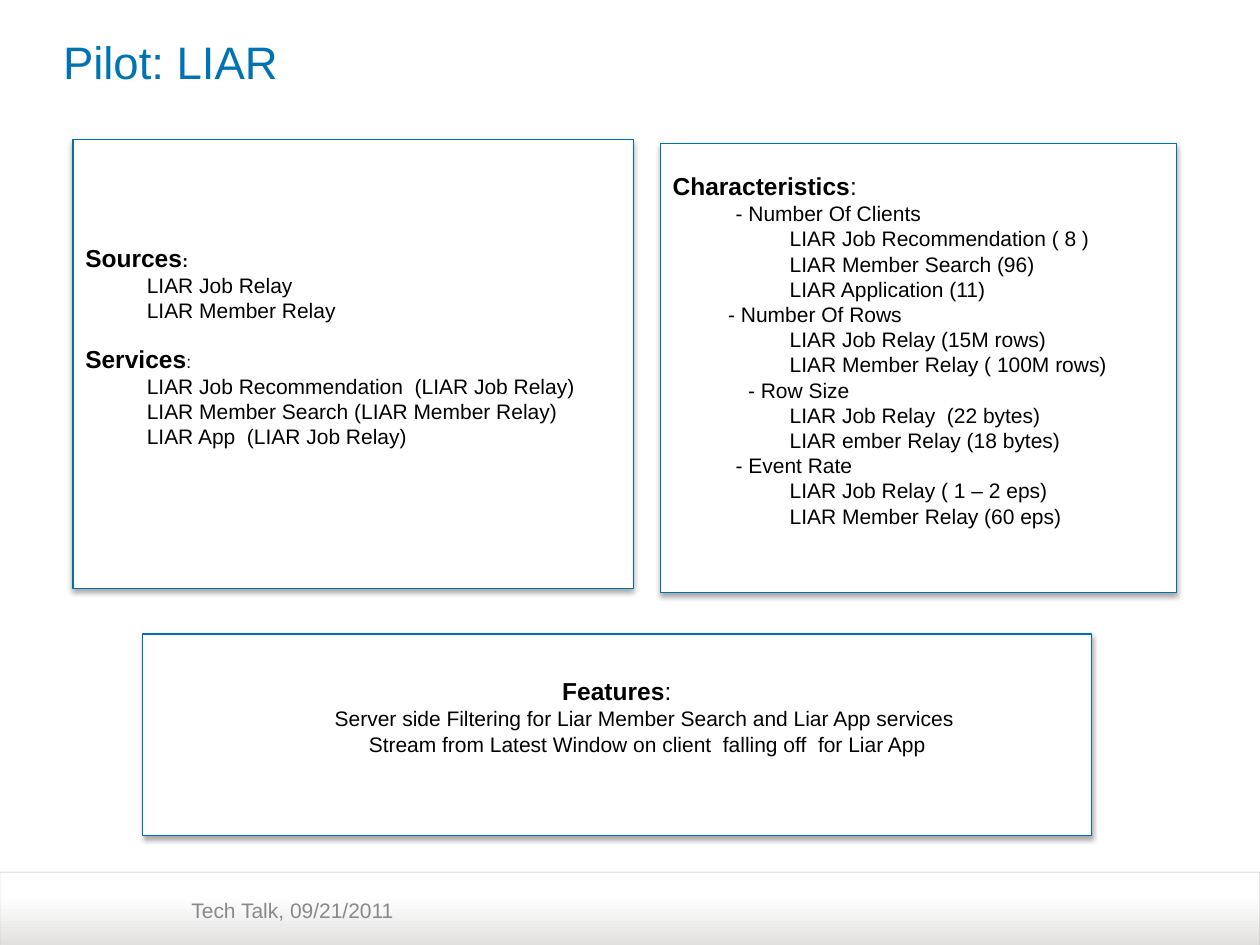
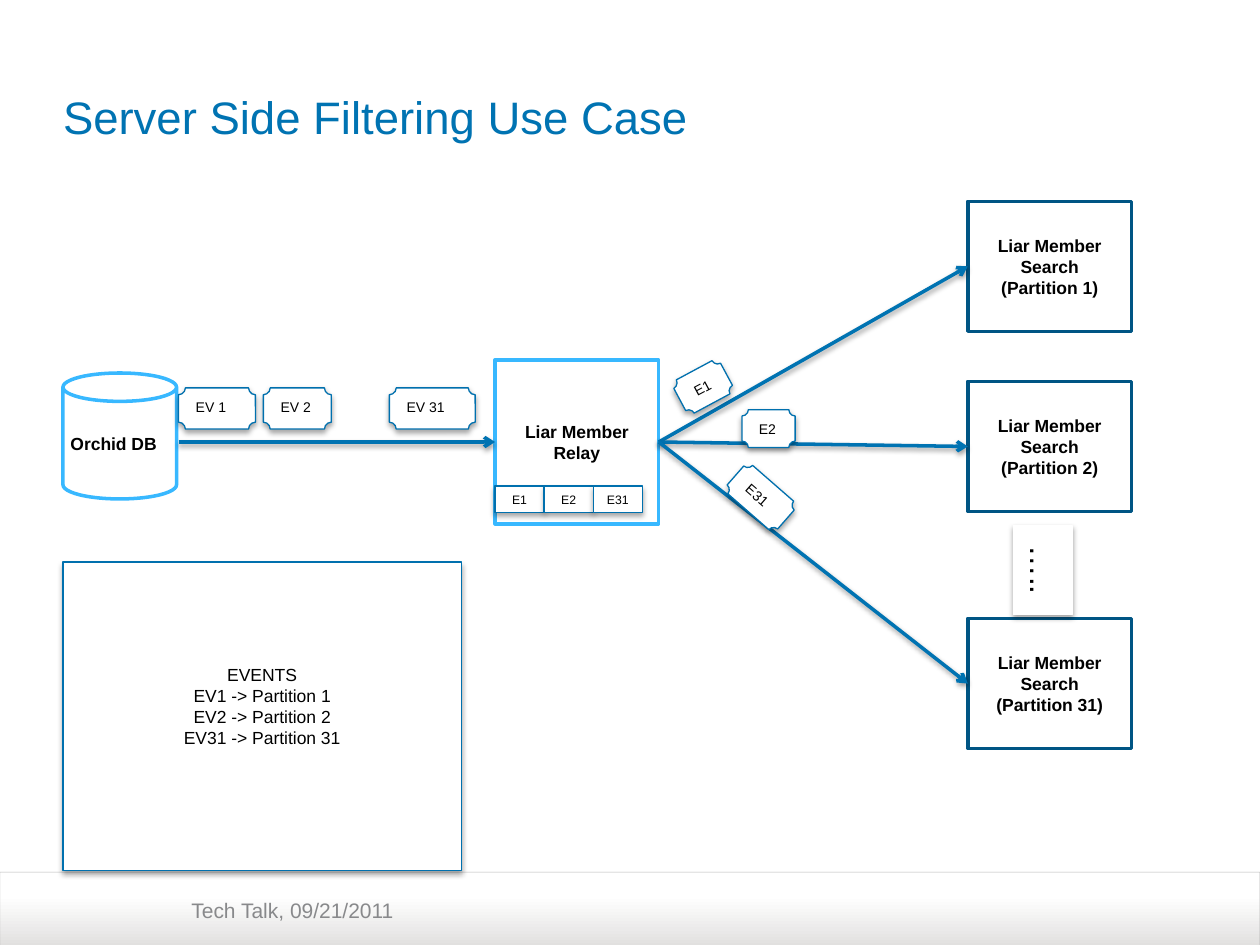
from dataclasses import dataclass
from lxml.etree import SubElement
from pptx import Presentation
from pptx.dml.color import RGBColor
from pptx.enum.shapes import MSO_CONNECTOR, MSO_SHAPE
from pptx.enum.text import MSO_ANCHOR, MSO_AUTO_SIZE, PP_ALIGN
from pptx.oxml.ns import qn
from pptx.util import Cm, Pt


@dataclass(frozen=True)
class Theme:
    font: str = "Arial"
    title: str = "0073B2"
    border: str = "0070AE"
    source: str = "38B8FF"
    target: str = "005584"
    text: str = "000000"
    muted: str = "88898B"
    paper: str = "FFFFFF"
    band: str = "E1E0DF"
    band_line: str = "A6A6A6"
    title_size: int = 26
    dots_size: int = 18
    heading_size: int = 14
    body_size: int = 12
    label_size: int = 10
    event_size: int = 8
    cell_size: int = 7
    thin: float = 0.75
    thick: float = 2


@dataclass(frozen=True)
class Box:
    left: float
    top: float
    width: float
    height: float

    def inside(self, left, top, width, height):
        return Box(self.left + left, self.top + top, width, height)

    def lengths(self):
        return [Cm(value) for value in (self.left, self.top, self.width, self.height)]


@dataclass(frozen=True)
class Line:
    runs: tuple
    indent: float = 0
    before: float = 0


THEME = Theme()
PAGE = Box(0, 0, 25.4, 19.05)
NEAR, FAR = 1.24, 2.36
TRAILING = 0.86


def rgb(value):
    return RGBColor.from_string(value)


def apply(target, formats):
    for name, value in formats.items():
        setattr(target, name, value)


def plain(text, size, bold=False):
    return Line(((text, size, bold),))


def heading(text, colon_size=THEME.heading_size, colon_bold=False, before=0):
    return Line(((text, THEME.heading_size, True), (":", colon_size, colon_bold)), 0, before)


def entries(texts, indent):
    return [Line(((text, THEME.body_size, False),), indent) for text in texts]


def write(shape, lines, color=THEME.text, align=PP_ALIGN.CENTER, **frame_formats):
    frame = shape.text_frame
    apply(frame, {"word_wrap": True, "auto_size": MSO_AUTO_SIZE.NONE,
                  "vertical_anchor": MSO_ANCHOR.MIDDLE, **frame_formats})
    for index, line in enumerate(lines):
        paragraph = frame.add_paragraph() if index else frame.paragraphs[0]
        apply(paragraph, {"alignment": align, "space_before": Pt(line.before)})
        if line.indent:
            paragraph._p.get_or_add_pPr().set("marL", str(Cm(line.indent)))
        for text, size, bold in line.runs:
            run = paragraph.add_run()
            run.text = text
            apply(run.font, {"name": THEME.font, "size": Pt(size), "bold": bold})
            run.font.color.rgb = rgb(color)


def add_effects(shape, opacity=0, distance=0):
    effects = SubElement(shape.element.spPr, qn("a:effectLst"))
    if opacity:
        shadow = SubElement(effects, qn("a:outerShdw"), blurRad=str(Pt(3.1)), dist=str(Pt(distance)),
                            dir="5400000", rotWithShape="0")
        color = SubElement(shadow, qn("a:srgbClr"), val=THEME.text)
        SubElement(color, qn("a:alpha"), val=str(opacity * 1000))


def add_panel(slide, box, kind=MSO_SHAPE.RECTANGLE, line=THEME.border, width=THEME.thin,
              shadow=True, rotation=0):
    shape = slide.shapes.add_shape(kind, *box.lengths())
    shape.rotation = rotation
    shape.fill.solid()
    shape.fill.fore_color.rgb = rgb(THEME.paper)
    shape.line.color.rgb = rgb(line)
    shape.line.width = Pt(width)
    add_effects(shape, 35 if shadow else 0, 1.8)
    return shape


def add_event(slide, box, text, rotation=0):
    plaque = add_panel(slide, box, MSO_SHAPE.PLAQUE, rotation=rotation)
    write(plaque, [plain(text, THEME.event_size)], align=PP_ALIGN.LEFT,
          vertical_anchor=MSO_ANCHOR.TOP)


def add_arrow(slide, start, end, start_shape, end_shape):
    arrow = slide.shapes.add_connector(MSO_CONNECTOR.STRAIGHT, *[Cm(value) for value in start + end])
    if start_shape:
        arrow.begin_connect(start_shape, 3)
    arrow.end_connect(end_shape, 1)
    arrow.line.color.rgb = rgb(THEME.title)
    arrow.line.width = Pt(THEME.thick)
    SubElement(arrow.element.spPr.find(qn("a:ln")), qn("a:tailEnd"), type="arrow")
    add_effects(arrow, 38, 1.6)


def set_title(slide, box, text, anchor):
    title = slide.shapes.title
    apply(title, dict(zip(("left", "top", "width", "height"), box.lengths())))
    write(title, [plain(text, THEME.title_size)], THEME.title, PP_ALIGN.LEFT,
          vertical_anchor=anchor, margin_left=0, margin_right=0)


def move_footer_to_master(slide, master, box):
    band = slide.shapes.add_shape(MSO_SHAPE.ROUND_2_SAME_RECTANGLE, *box.lengths())
    band.adjustments[0] = 0
    band.fill.gradient()
    band.fill.gradient_angle = 90
    for stop, color, position in zip(band.fill.gradient_stops, (THEME.band, THEME.paper), (0, 0.68)):
        stop.color.rgb = rgb(color)
        stop.position = position
    band.line.color.rgb = rgb(THEME.band_line)
    band.line.width = Pt(0.25)
    line_color = band.element.spPr.find(qn("a:ln")).find(".//" + qn("a:srgbClr"))
    SubElement(line_color, qn("a:alpha"), val="79000")
    add_effects(band)
    caption = slide.shapes.add_textbox(*box.inside(3.86, 0.38, 7.87, 0.86).lengths())
    write(caption, [plain("Tech Talk, 09/21/2011", THEME.body_size)], THEME.muted, PP_ALIGN.LEFT,
          vertical_anchor=MSO_ANCHOR.TOP, margin_left=0)
    for number, shape in enumerate((band, caption), 20):
        shape.element.nvSpPr.cNvPr.set("id", str(number))
        master.shapes.element.append(shape.element)


def add_sources(slide, box):
    lines = [heading("Sources", THEME.label_size, True),
             *entries(("LIAR Job Relay", "LIAR Member Relay"), NEAR),
             heading("Services", THEME.label_size, before=12),
             *entries(("LIAR Job Recommendation  (LIAR Job Relay)",
                       "LIAR Member Search (LIAR Member Relay)",
                       "LIAR App  (LIAR Job Relay)"), NEAR)]
    write(add_panel(slide, box), lines, align=PP_ALIGN.LEFT, margin_bottom=Cm(TRAILING))


def add_characteristics(slide, box):
    groups = (
        ("- Number Of Clients", 1.27, ("LIAR Job Recommendation ( 8 )", "LIAR Member Search (96)",
                                       "LIAR Application (11)")),
        ("- Number Of Rows", 1.12, ("LIAR Job Relay (15M rows)", "LIAR Member Relay ( 100M rows)")),
        ("- Row Size", 1.52, ("LIAR Job Relay  (22 bytes)", "LIAR ember Relay (18 bytes)")),
        ("- Event Rate", 1.27, ("LIAR Job Relay ( 1 – 2 eps)", "LIAR Member Relay (60 eps)")),
    )
    lines = [heading("Characteristics")]
    for name, indent, details in groups:
        lines += entries((name,), indent) + entries(details, FAR)
    write(add_panel(slide, box), lines, align=PP_ALIGN.LEFT, margin_bottom=Cm(TRAILING))


def add_features(slide, box):
    lines = [heading("Features"),
             *entries(("Server side Filtering for Liar Member Search and Liar App services",), 1.12),
             *entries(("Stream from Latest Window on client  falling off  for Liar App",), NEAR)]
    write(add_panel(slide, box), lines, margin_bottom=Cm(TRAILING))


def build_pilot(slide, box):
    set_title(slide, box.inside(1.27, 0.56, 22.86, 1.78), "Pilot: LIAR", MSO_ANCHOR.TOP)
    add_sources(slide, box.inside(1.47, 2.82, 11.3, 9.04))
    add_characteristics(slide, box.inside(13.31, 2.9, 10.41, 9.04))
    add_features(slide, box.inside(2.87, 12.78, 19.13, 4.06))


def add_event_legend(slide, box):
    texts = ("EVENTS", "EV1 -> Partition 1", "EV2 -> Partition 2", "EV31 -> Partition 31")
    write(add_panel(slide, box), [plain(text, THEME.label_size) for text in texts],
          margin_bottom=Cm(0.53))


def add_database(slide, box):
    can = add_panel(slide, box, MSO_SHAPE.CAN, THEME.source, THEME.thick, False)
    write(can, [plain("Orchid DB", THEME.label_size, True)], margin_left=0)


def add_event_queue(slide, box):
    for text, offset, width in (("EV 1", 0, 1.55), ("EV 2", 1.71, 1.37), ("EV 31", 4.25, 1.73)):
        add_event(slide, box.inside(offset, 0, width, box.height), text)


def add_relay(slide, box):
    relay = add_panel(slide, box, line=THEME.source, width=THEME.thick, shadow=False)
    write(relay, [plain("Liar Member Relay", THEME.label_size, True)])
    cell_width = 0.99
    for column, text in enumerate(("E1", "E2", "E31")):
        cell = add_panel(slide, box.inside(column * cell_width, 2.54, cell_width, 0.53))
        write(cell, [plain(text, THEME.cell_size)])
    return relay


def add_partitions(slide, box):
    partitions = []
    for number, offset in ((1, 0), (2, 3.63), (31, 8.41)):
        partition = add_panel(slide, box.inside(0, offset, box.width, 2.62),
                              line=THEME.target, width=THEME.thick, shadow=False)
        write(partition, [plain(text, THEME.label_size, True)
                          for text in ("Liar Member Search", f"(Partition {number})")])
        partitions.append(partition)
    dots = add_panel(slide, box.inside(0.61, 6.84, 1.8, 1.19), line=THEME.paper, rotation=90)
    write(dots, [plain("…..", THEME.dots_size)])
    return partitions


def add_routed_events(slide, box):
    for text, left, top, width, rotation in (("E1", 0, 0, 1.07, 331.7), ("E2", 1.32, 0.84, 1.07, 0),
                                             ("E31", 1.02, 2.23, 1.35, 41.1)):
        add_event(slide, box.inside(left, top, width, 0.76), text, rotation)


def build_filtering(slide, box):
    set_title(slide, box.inside(1.27, 0.76, 22.86, 3.18), "Server Side Filtering Use Case",
              MSO_ANCHOR.MIDDLE)
    add_event_legend(slide, box.inside(1.27, 11.33, 8.03, 6.22))
    add_database(slide, box.inside(1.27, 7.52, 2.29, 2.54))
    add_event_queue(slide, box.inside(3.6, 7.82, 5.98, 0.83))
    relay = add_relay(slide, box.inside(9.98, 7.26, 3.3, 3.3))
    add_arrow(slide, (3.6, 8.91), (9.98, 8.91), None, relay)
    for partition in add_partitions(slide, box.inside(19.51, 4.06, 3.3, 11.03)):
        add_arrow(slide, (13.28, 8.91), (19.51, 8.91), relay, partition)
    add_routed_events(slide, box.inside(13.64, 7.42, 2.39, 2.99))


def main():
    presentation = Presentation()
    presentation.slide_width = Cm(PAGE.width)
    presentation.slide_height = Cm(PAGE.height)
    layout = presentation.slide_layouts.get_by_name("Title Only")
    pilot, filtering = [presentation.slides.add_slide(layout) for _ in range(2)]
    move_footer_to_master(pilot, presentation.slide_master, PAGE.inside(0, 17.58, PAGE.width, 1.5))
    build_pilot(pilot, PAGE)
    build_filtering(filtering, PAGE)
    presentation.save("out.pptx")


if __name__ == "__main__":
    main()
